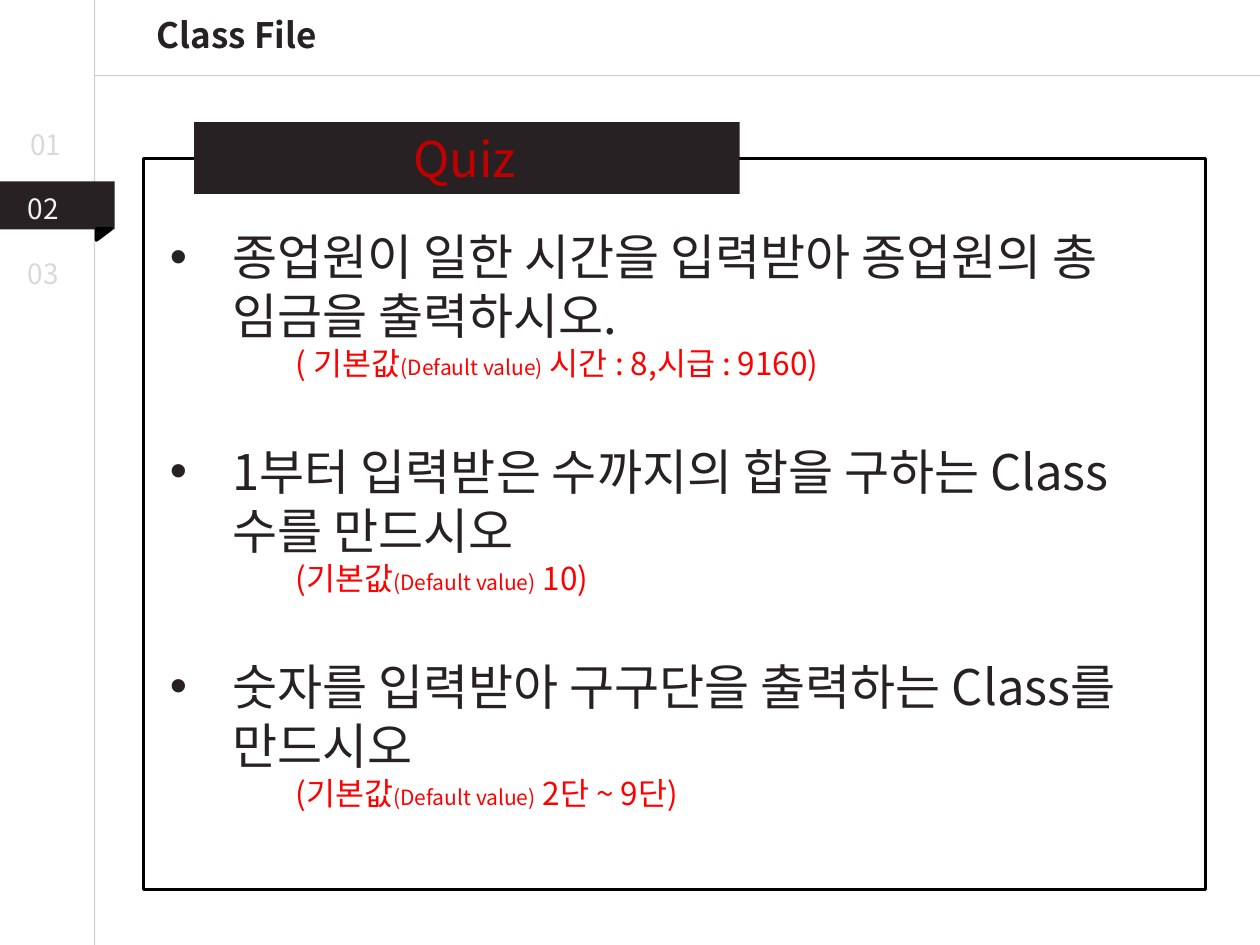
import pptx
import pptx.util
import pptx.dml.color
import pptx.enum.shapes
import pptx.enum.text
import pptx.oxml
import pptx.oxml.ns
from pptx.util import Inches

# Content
TITLE = "Class File"
HEADING = "Quiz"
SECTIONS = [("01", 0.14, 0.96), ("02", 0.12, 1.47), ("03", 0.12, 1.99)]
CURRENT_SECTION = "02"
DEFAULT_LABEL = "(Default value)"
# Each question: task, then the note before and after the default label
QUESTIONS = [
    ("종업원이 일한 시간을 입력받아 종업원의 총 임금을 출력하시오.",
     "( 기본값", " 시간 : 8,시급 : 9160)"),
    ("1부터 입력받은 수까지의 합을 구하는 Class수를 만드시오",
     "(기본값", " 10)"),
    ("숫자를 입력받아 구구단을 출력하는 Class를 만드시오",
     "(기본값", " 2단 ~ 9단)"),
]

FONT = "Noto Sans CJK KR"
COLORS = {"ink": "272123", "black": "000000", "rule": "A6A6A6", "quiz": "C00000",
          "note": "FF0000", "muted": "D9D9D9", "current": "F2F2F2"}
SHAPES = pptx.enum.shapes.MSO_SHAPE
ALIGN = pptx.enum.text.PP_ALIGN

presentation = pptx.Presentation()
presentation.slide_width = Inches(10)
presentation.slide_height = Inches(7.5)
slide = presentation.slides.add_slide(presentation.slide_layouts[6])


def rgb(color):
    return pptx.dml.color.RGBColor.from_string(COLORS[color])


def add_element(parent, tag, **attributes):
    element = pptx.oxml.ns.qn(tag)
    child = parent.makeelement(element, attributes)
    parent.append(child)
    return child


def add_rule(x1, y1, x2, y2):
    rule = slide.shapes.add_connector(
        pptx.enum.shapes.MSO_CONNECTOR.STRAIGHT,
        Inches(x1), Inches(y1), Inches(x2), Inches(y2))
    rule.line.color.rgb = rgb("rule")
    rule.line.width = pptx.util.Pt(0.75)
    fill_color = rule.line.fill._xPr.find(".//" + pptx.oxml.ns.qn("a:srgbClr"))
    add_element(fill_color, "a:alpha", val="50000")
    add_element(rule._element.spPr, "a:effectLst")


def add_block(kind, x, y, width, height, fill=None, line=None):
    block = slide.shapes.add_shape(
        kind, Inches(x), Inches(y), Inches(width), Inches(height))
    block.shadow.inherit = False
    if fill:
        block.fill.solid()
        block.fill.fore_color.rgb = rgb(fill)
    else:
        block.fill.background()
    if line:
        block.line.color.rgb = rgb(line)
        block.line.width = pptx.util.Pt(2)
    else:
        block.line.fill.background()
    return block


def add_frame(x, y, width, height):
    box = slide.shapes.add_textbox(
        Inches(x), Inches(y), Inches(width), Inches(height))
    box.text_frame.word_wrap = True
    box.text_frame.auto_size = pptx.enum.text.MSO_AUTO_SIZE.SHAPE_TO_FIT_TEXT
    return box.text_frame


def add_text(paragraph, text, size=28, color="ink", bold=False, align=None):
    run = paragraph.add_run()
    run.text = text
    run.font.size = pptx.util.Pt(size)
    run.font.bold = bold
    run.font.color.rgb = rgb(color)
    run.font.name = FONT
    add_element(run._r.get_or_add_rPr(), "a:ea", typeface=FONT)
    if align is not None:
        paragraph.alignment = align


def indent(paragraph, left, first=0, bullet=None):
    properties = paragraph._p.get_or_add_pPr()
    properties.set("marL", str(Inches(left)))
    properties.set("indent", str(Inches(first)))
    if bullet:
        add_element(properties, "a:buFont", typeface="Arial")
        add_element(properties, "a:buChar", char=bullet)


# Page rules
add_rule(0.75, 0, 0.75, 7.5)
add_rule(0.75, 0.6, 10, 0.6)

# Quiz frame and heading
add_block(SHAPES.RECTANGLE, 1.14, 1.26, 8.43, 5.8, line="black")
add_block(SHAPES.RECTANGLE, 1.54, 0.97, 4.33, 0.57, fill="ink")
heading = add_frame(1.14, 0.97, 5.1, 0.57)
add_text(heading.paragraphs[0], HEADING, color="quiz", align=ALIGN.CENTER)

# Questions with their default values
questions = add_frame(1.25, 1.75, 8.07, 4.95)
for number, (task, note_start, note_end) in enumerate(QUESTIONS):
    task_line = questions.add_paragraph() if number else questions.paragraphs[0]
    indent(task_line, 0.5, -0.5, bullet="•")
    if number:
        task_line.space_before = pptx.util.Pt(34)
    add_text(task_line, task)

    note_line = questions.add_paragraph()
    indent(note_line, 1)
    for text, size in [(note_start, 18), (DEFAULT_LABEL, 12), (note_end, 18)]:
        add_text(note_line, text, size=size, color="note")

# Title
title = add_frame(0.81, 0.06, 2.14, 0.44)
add_text(title.paragraphs[0], TITLE, size=20, bold=True, align=ALIGN.CENTER)

# Section tab with its fold, then the section numbers
add_block(SHAPES.RECTANGLE, 0, 1.44, 0.91, 0.38, fill="ink")
fold = add_block(SHAPES.RIGHT_TRIANGLE, 0.78, 1.8, 0.09, 0.12,
                 fill="black", line="black")
fold.rotation = 90
for section, x, y in SECTIONS:
    section_frame = add_frame(x, y, 0.55, 0.37)
    add_text(section_frame.paragraphs[0], section, size=16,
             color="current" if section == CURRENT_SECTION else "muted")

presentation.save("out.pptx")
